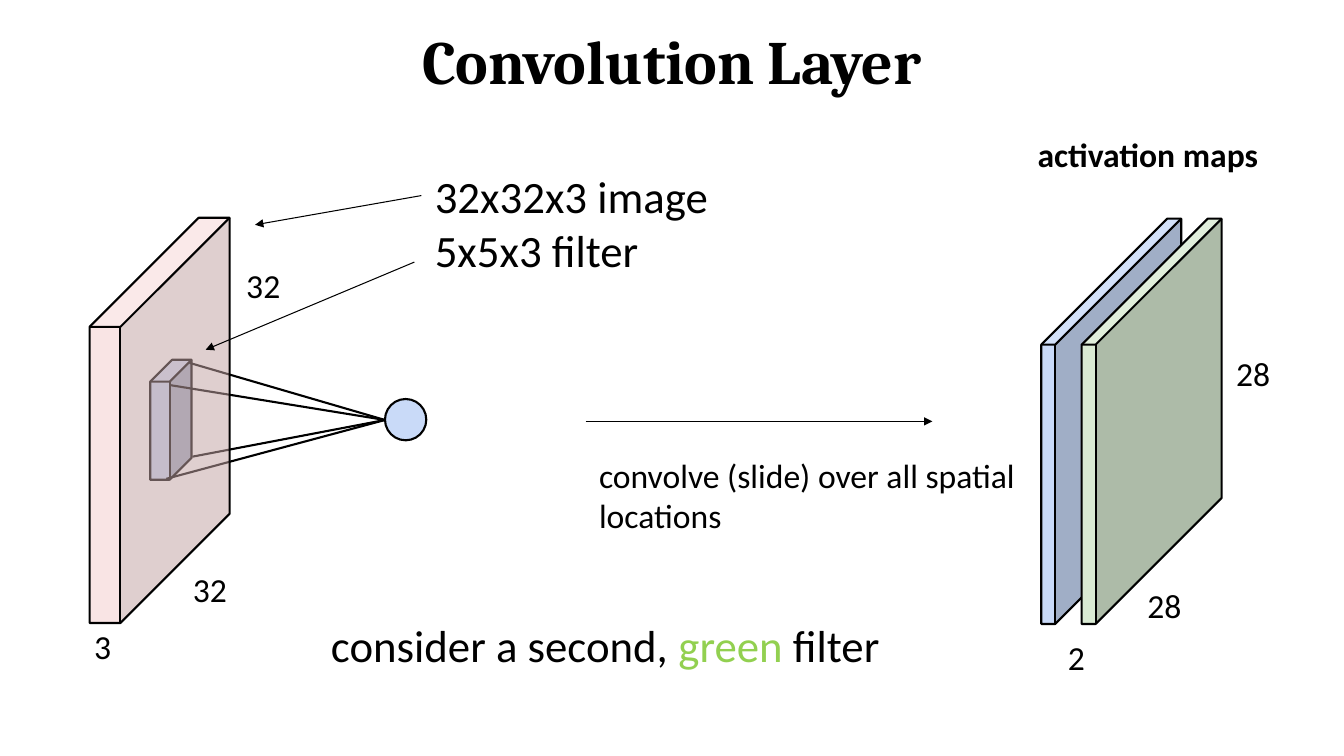
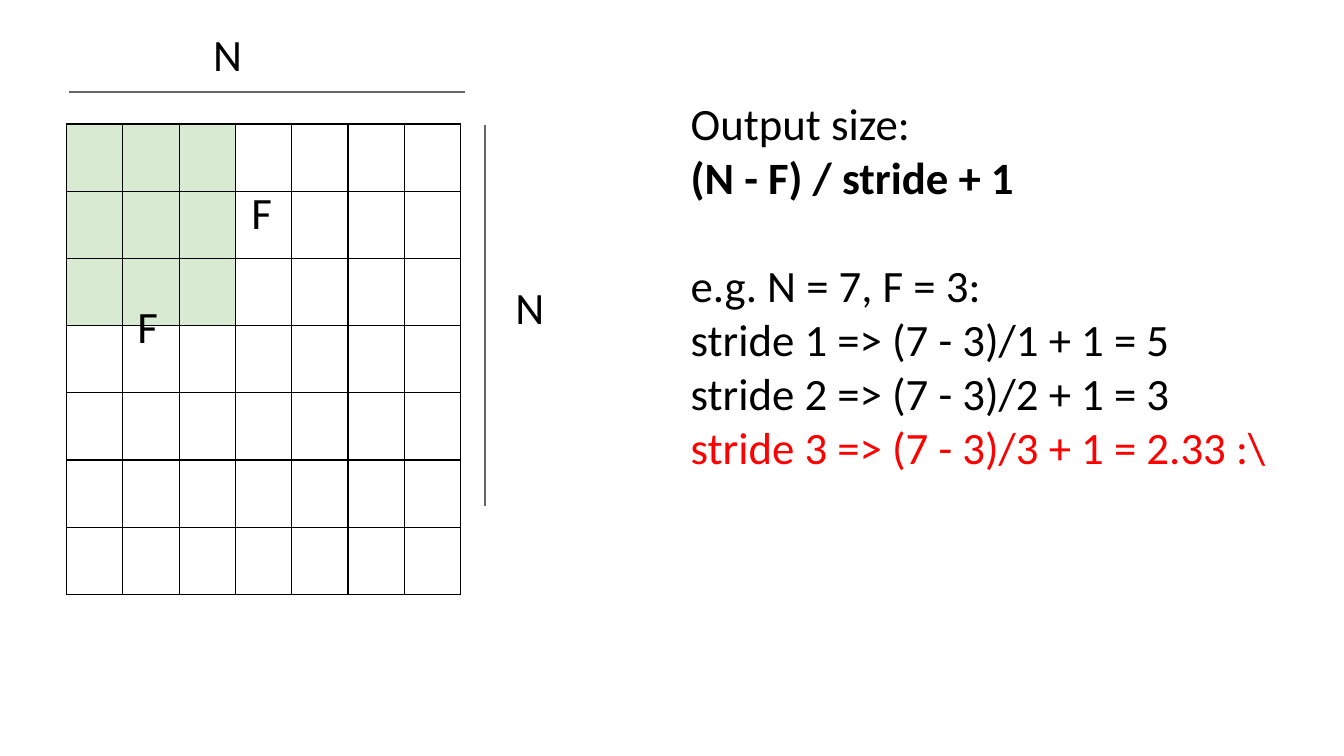
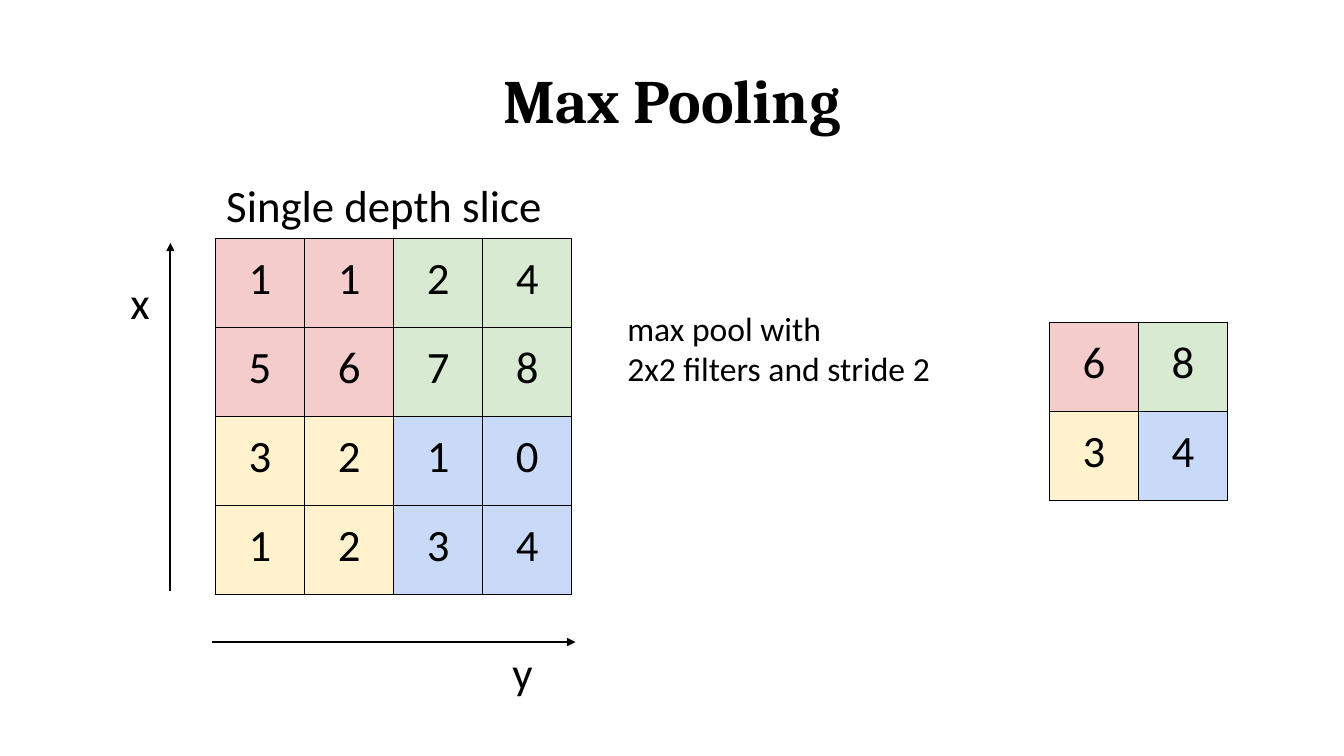
from lxml import etree
from pptx import Presentation
from pptx.dml.color import RGBColor
from pptx.enum.shapes import MSO_CONNECTOR, MSO_SHAPE
from pptx.enum.text import MSO_ANCHOR, PP_ALIGN
from pptx.oxml.ns import qn
from pptx.util import Pt

BLACK, GRAY, RED, LIME = "000000", "666666", "FF0000", "92D050"
PINK, GREEN, YELLOW, BLUE = "F4CCCC", "D9EAD3", "FFF2CC", "C9DAF8"
INSETS = {f"margin_{side}": Pt(9.6) for side in ("left", "right", "top", "bottom")}
rgb = RGBColor.from_string


def write(frame, lines, size, align=PP_ALIGN.LEFT, **shared):
    """Fill a frame; each line is a string or a list of (text, formats) runs."""
    for index, line in enumerate(lines):
        paragraph = frame.add_paragraph() if index else frame.paragraphs[0]
        paragraph.alignment = align
        for text, formats in [(line, {})] if isinstance(line, str) else line:
            values = {"name": "Calibri", "size": Pt(size), "bold": False,
                      "color": BLACK, "gap": 0} | shared | formats
            run = paragraph.add_run()
            run.text = text
            run.font.color.rgb = rgb(values.pop("color"))
            paragraph.space_before = Pt(values.pop("gap"))
            for attribute, value in values.items():
                setattr(run.font, attribute, value)


def add_line(slide, start, end, color=BLACK, width=1.5, arrow=False):
    line = slide.shapes.add_connector(
        MSO_CONNECTOR.STRAIGHT, *map(Pt, start), *map(Pt, end))
    line.line.color.rgb = rgb(color)
    line.line.width = Pt(width)
    properties = line.element.spPr
    if arrow:
        etree.SubElement(properties.find(qn("a:ln")), qn("a:tailEnd"), type="triangle")
    etree.SubElement(properties, qn("a:effectLst"))


prs = Presentation()
prs.slide_width, prs.slide_height = Pt(960), Pt(540)
title_only, blank = prs.slide_layouts[5], prs.slide_layouts[6]
convolution, stride, pooling = [
    prs.slides.add_slide(layout) for layout in (title_only, blank, title_only)]

# Titles
for slide, heading, top in [(convolution, "Convolution Layer", 16),
                            (pooling, "Max Pooling", 44)]:
    title = slide.shapes.title
    title.left, title.top, title.width, title.height = map(Pt, (33, top, 894, 60))
    title.text_frame.vertical_anchor = MSO_ANCHOR.MIDDLE
    write(title.text_frame, [heading], 44, PP_ALIGN.CENTER, name="Cambria", bold=True)
    title.text_frame.paragraphs[0].line_spacing = 0.9

# Grids: square blocks of cells share one fill
window = {(0, 0): GREEN}
quadrants = {(0, 0): PINK, (0, 1): GREEN, (1, 0): YELLOW, (1, 1): BLUE}
grids = [
    (stride, 47.6, 88.6, 40.2, 48, [[""] * 7] * 7, window, 3),
    (pooling, 154, 170.4, 63.6, 63.6, ["1124", "5678", "3210", "1234"], quadrants, 2),
    (pooling, 749.6, 230.4, 63.6, 63.6, ["68", "34"], quadrants, 1),
]
for slide, left, top, cell_width, cell_height, rows, fills, block in grids:
    count = len(rows)
    grid = slide.shapes.add_table(
        count, count, Pt(left), Pt(top),
        Pt(cell_width * count), Pt(cell_height * count)).table
    grid.first_row = grid.horz_banding = False
    for column in grid.columns:
        column.width = Pt(cell_width)
    for r, row in enumerate(rows):
        grid.rows[r].height = Pt(cell_height)
        for c, number in enumerate(row):
            cell = grid.cell(r, c)
            for margin, inset in INSETS.items():
                setattr(cell, margin, inset)
            for edge in ("a:lnL", "a:lnR", "a:lnT", "a:lnB"):
                border = etree.SubElement(
                    cell._tc.get_or_add_tcPr(), qn(edge), w=str(Pt(1)))
                solid = etree.SubElement(border, qn("a:solidFill"))
                etree.SubElement(solid, qn("a:srgbClr"), val=BLACK)
            color = fills.get((r // block, c // block))
            if color:
                cell.fill.solid()
                cell.fill.fore_color.rgb = rgb(color)
            else:
                cell.fill.background()
            if number:
                write(cell.text_frame, [number], 32, PP_ALIGN.CENTER)

# Volumes; the rays run from the filter to the neuron, behind the image
rays = [(118.8, 342), (121, 275), (135.4, 259.2), (137.5, 326.2)]
volumes = [
    (MSO_SHAPE.OVAL, (275, 285, 29.5, 29.5), None, BLUE, 100, []),
    (MSO_SHAPE.CUBE, (107.3, 257, 29.5, 85.7), 0.53, BLUE, 100, rays),
    (MSO_SHAPE.CUBE, (64, 155.5, 100, 289.5), 0.78, PINK, 52, []),
    (MSO_SHAPE.CUBE, (743.8, 156.2, 100, 289.5), 0.9, BLUE, 100, []),
    (MSO_SHAPE.CUBE, (772.6, 156.2, 100, 289.5), 0.9, GREEN, 100, []),
]
for preset, box, depth, color, opacity, ray_starts in volumes:
    volume = convolution.shapes.add_shape(preset, *map(Pt, box))
    volume.shadow.inherit = False
    volume.fill.solid()
    volume.fill.fore_color.rgb = rgb(color)
    volume.line.color.rgb = rgb(BLACK)
    volume.line.width = Pt(1.5)
    if depth:
        volume.adjustments[0] = depth
    if opacity < 100:
        fill_color = volume.element.spPr.find(qn("a:solidFill")).find(qn("a:srgbClr"))
        etree.SubElement(fill_color, qn("a:alpha"), val=str(opacity * 1000))
    for start in ray_starts:
        add_line(convolution, start, (275, 300))

# Pointers, dimension lines and axes
for start, end in [((301, 139.7), (182.2, 160.6)),
                   ((296, 187.2), (146.9, 249.8)),
                   ((418.3, 301), (666, 301))]:
    add_line(convolution, start, end, width=0.75, arrow=True)
for start, end in [((49, 66), (332, 66)), ((346.3, 89.3), (346.3, 361.4))]:
    add_line(stride, start, end, GRAY)
for start, end in [((121.7, 422), (121.7, 173.5)), ((151.2, 458.6), (411.1, 458.6))]:
    add_line(pooling, start, end, arrow=True)

# Labels
labels = [
    (convolution, (128.2, 396.7, 52, 32), 24, ["32"]),
    (convolution, (166.3, 179.3, 52, 30), 24, ["32"]),
    (convolution, (57.6, 437.8, 52, 20), 24, ["3"]),
    (convolution, (301, 110.9, 382, 58), 32, ["32x32x3 image", "5x5x3 filter"]),
    (convolution, (418.3, 315.4, 330, 86), 24,
     ["convolve (slide) over all spatial locations"]),
    (convolution, (731.5, 85.7, 202, 57), 24, [[("activation maps", {"bold": True})]]),
    (convolution, (753.1, 445, 35, 32), 24, ["2"]),
    (convolution, (810, 408.2, 58, 21), 24, ["28"]),
    (convolution, (873.4, 242.6, 52, 32), 24, ["28"]),
    (convolution, (226.8, 431.3, 531, 30), 32,
     [[("consider a second, ", {}), ("green", {"color": LIME}), (" filter", {})]]),
    (stride, (142.6, 9.4, 81, 41), 32, ["N"]),
    (stride, (358.6, 190, 81, 41), 32, ["N"]),
    (stride, (88.6, 203.8, 81, 41), 32, ["F"]),
    (stride, (170, 122.4, 81, 41), 32, ["F"]),
    (stride, (483.8, 59, 476, 253), 32, [
        "Output size:",
        [("(N - F) / stride + 1", {"bold": True})],
        [("e.g. N = 7, F = 3:", {"gap": 39})],
        "stride 1 => (7 - 3)/1 + 1 = 5",
        "stride 2 => (7 - 3)/2 + 1 = 3",
        [("stride 3 => (7 - 3)/3 + 1 = 2.33 :\\", {"color": RED})]]),
    (pooling, (152, 117.4, 275, 59), 32, ["Single depth slice"]),
    (pooling, (83.5, 186.5, 41, 49), 32, ["x"]),
    (pooling, (356.4, 450.7, 41, 38), 32, ["y"]),
    (pooling, (438.5, 210.2, 281, 76), 24,
     ["max pool with", "2x2 filters and stride 2"]),
]
for slide, box, size, lines in labels:
    frame = slide.shapes.add_textbox(*map(Pt, box)).text_frame
    frame.word_wrap = True
    for margin, inset in INSETS.items():
        setattr(frame, margin, inset)
    write(frame, lines, size)

prs.save("out.pptx")
